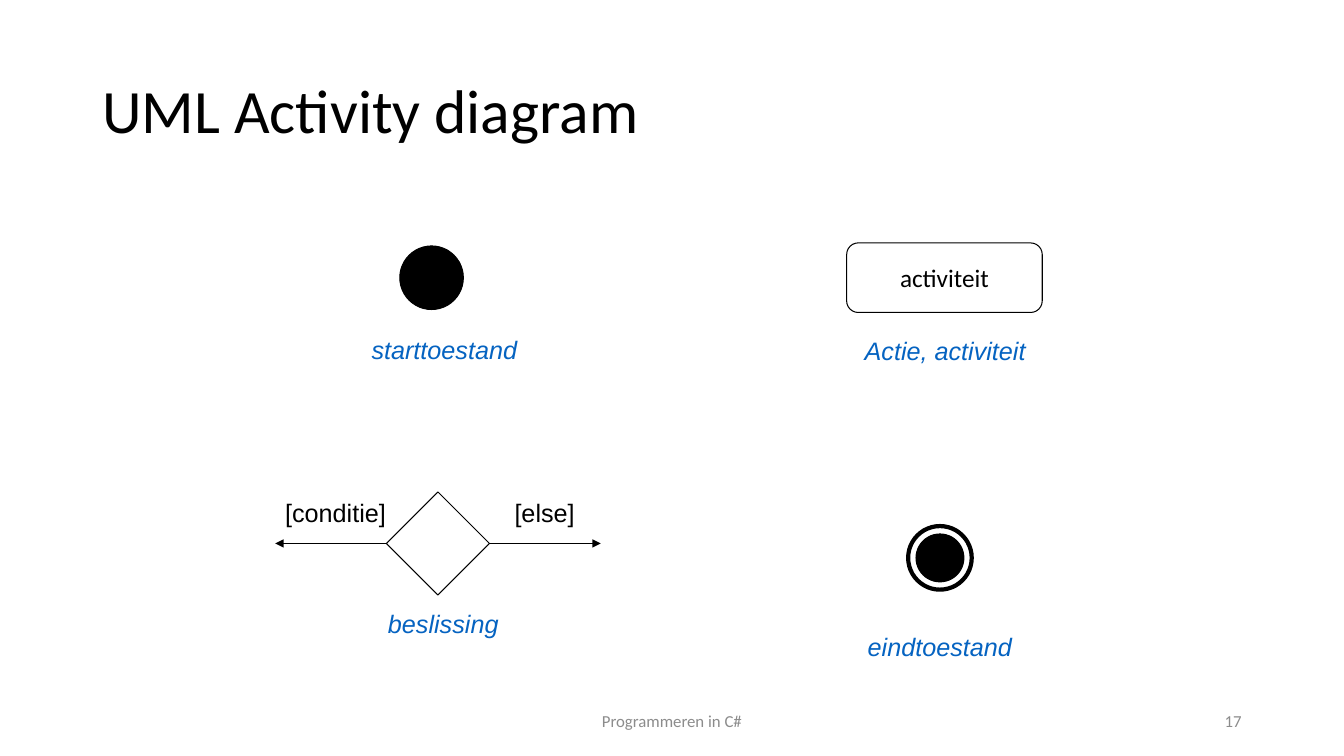
from pptx import Presentation
from pptx.dml.color import RGBColor
from pptx.enum import shapes, text
from pptx.oxml import parse_xml
from pptx.oxml.ns import nsdecls, qn
from pptx.util import Pt

BLACK = RGBColor(0x00, 0x00, 0x00)
WHITE = RGBColor(0xFF, 0xFF, 0xFF)
BLUE = RGBColor(0x05, 0x63, 0xC1)
GREY = RGBColor(0x8C, 0x8C, 0x8C)

SHAPE = shapes.MSO_SHAPE
ALIGN = text.PP_ALIGN
MIDDLE = text.MSO_ANCHOR.MIDDLE
LABEL_H = 28.8


def set_text(tf, words, size, font, color, align=ALIGN.LEFT, italic=False):
    p = tf.paragraphs[0]
    p.text = words
    p.alignment = align
    p.font.size = Pt(size)
    p.font.name = font
    p.font.color.rgb = color
    p.font.italic = italic


def add_outline(s, kind, box, fill=WHITE, weight=0.75):
    sp = s.shapes.add_shape(kind, *map(Pt, box))
    sp.shadow.inherit = False
    sp.fill.solid()
    sp.fill.fore_color.rgb = fill
    sp.line.color.rgb = BLACK
    sp.line.width = Pt(weight)
    return sp


def add_label(s, x, y, w, words, color=BLACK, italic=False):
    sp = s.shapes.add_textbox(Pt(x), Pt(y), Pt(w), Pt(LABEL_H))
    tf = sp.text_frame
    tf.word_wrap = False
    tf.auto_size = text.MSO_AUTO_SIZE.SHAPE_TO_FIT_TEXT
    set_text(tf, words, 18, "Arial", color, italic=italic)


def add_caption(s, box, words, w, gap, dx=0):
    """Label a symbol below its box, shifted dx from the box's centre."""
    x, y, box_w, box_h = box
    add_label(s, x + (box_w - w) / 2 + dx, y + box_h + gap, w, words, BLUE, True)


def add_arrow(s, x1, x2, y):
    cn = s.shapes.add_connector(
        shapes.MSO_CONNECTOR.STRAIGHT, Pt(x1), Pt(y), Pt(x2), Pt(y))
    cn.line.color.rgb = BLACK
    cn.line.width = Pt(0.75)
    ln = cn.line._get_or_add_ln()
    ln.append(parse_xml(f'<a:tailEnd {nsdecls("a")} type="triangle"/>'))
    ln.addnext(ln.makeelement(qn("a:effectLst"), {}))


def add_title(s, box, words):
    sp = s.shapes.title
    sp.left, sp.top, sp.width, sp.height = map(Pt, box)
    tf = sp.text_frame
    tf.vertical_anchor = MIDDLE
    tf.auto_size = text.MSO_AUTO_SIZE.NONE
    set_text(tf, words, 44, "Calibri", BLACK)
    tf.paragraphs[0].line_spacing = 0.9


def add_footer(s, box, words, align):
    tf = s.shapes.add_textbox(*map(Pt, box)).text_frame
    tf.word_wrap = True
    tf.vertical_anchor = MIDDLE
    set_text(tf, words, 12, "Calibri", GREY, align)


def add_start(s, box):
    add_outline(s, SHAPE.OVAL, box, BLACK)
    add_caption(s, box, "starttoestand", 118.8, 14.3, 9.4)


def add_activity(s, box):
    sp = add_outline(s, SHAPE.ROUNDED_RECTANGLE, box)
    sp.adjustments[0] = 0.167
    tf = sp.text_frame
    tf.word_wrap = False
    tf.vertical_anchor = MIDDLE
    set_text(tf, "activiteit", 18, "Calibri", BLACK, ALIGN.CENTER)
    add_caption(s, box, "Actie, activiteit", 129.6, 13, 0.7)


def add_decision(s, box):
    """Centre a diamond in the box, with an arrow out to each side."""
    x, y, w, h = box
    left = x + (w - h) / 2
    right = left + h
    add_outline(s, SHAPE.DIAMOND, (left, y, h, h))
    add_arrow(s, right, x + w, y + h / 2)
    add_arrow(s, left, x, y + h / 2)
    add_label(s, right + 10.8, y, 57.6, "[else]")
    add_label(s, x, y, 86.4, "[conditie]")
    add_caption(s, box, "beslissing", 93.6, 5.8, 4)


def add_end(s, box):
    x, y, w, h = box
    inset = 5.6
    add_outline(s, SHAPE.OVAL, box, weight=3)
    add_outline(s, SHAPE.OVAL,
                (x + inset, y + inset, w - 2 * inset, h - 2 * inset), BLACK)
    add_caption(s, box, "eindtoestand", 117.4, 25.9)


def main():
    prs = Presentation()
    prs.slide_width, prs.slide_height = Pt(960), Pt(540)
    s = prs.slides.add_slide(prs.slide_layouts[5])
    add_title(s, (66, 28.8, 828, 104.4), "UML Activity diagram")
    add_footer(s, (318, 500.5, 324, 28.8), "Programmeren in C#", ALIGN.CENTER)
    add_footer(s, (678, 500.5, 216, 28.8), "17", ALIGN.RIGHT)
    add_start(s, (285.6, 175.7, 45.4, 45.4))
    add_activity(s, (604.8, 173.5, 139.7, 49.7))
    add_decision(s, (196.6, 351.4, 232.5, 73.6))
    add_end(s, (648.7, 375.8, 45.4, 45.4))
    prs.save("out.pptx")


if __name__ == "__main__":
    main()
